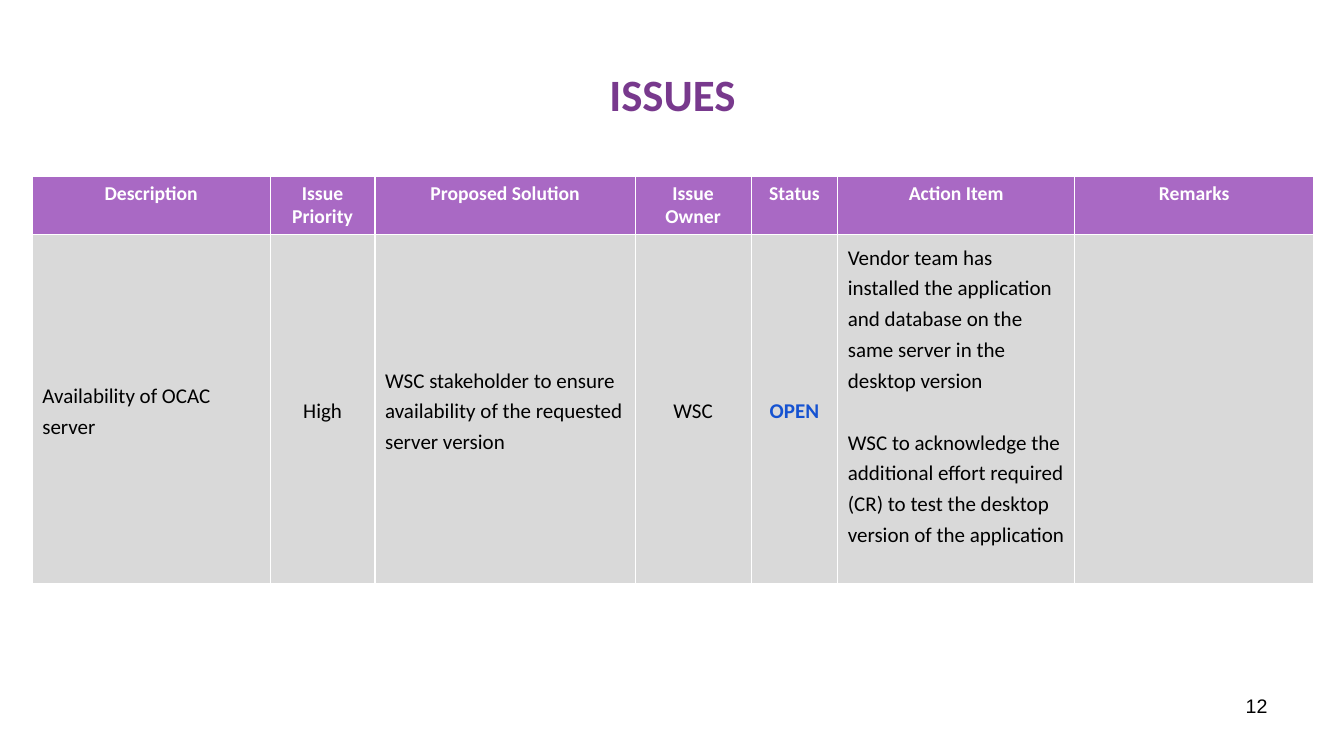
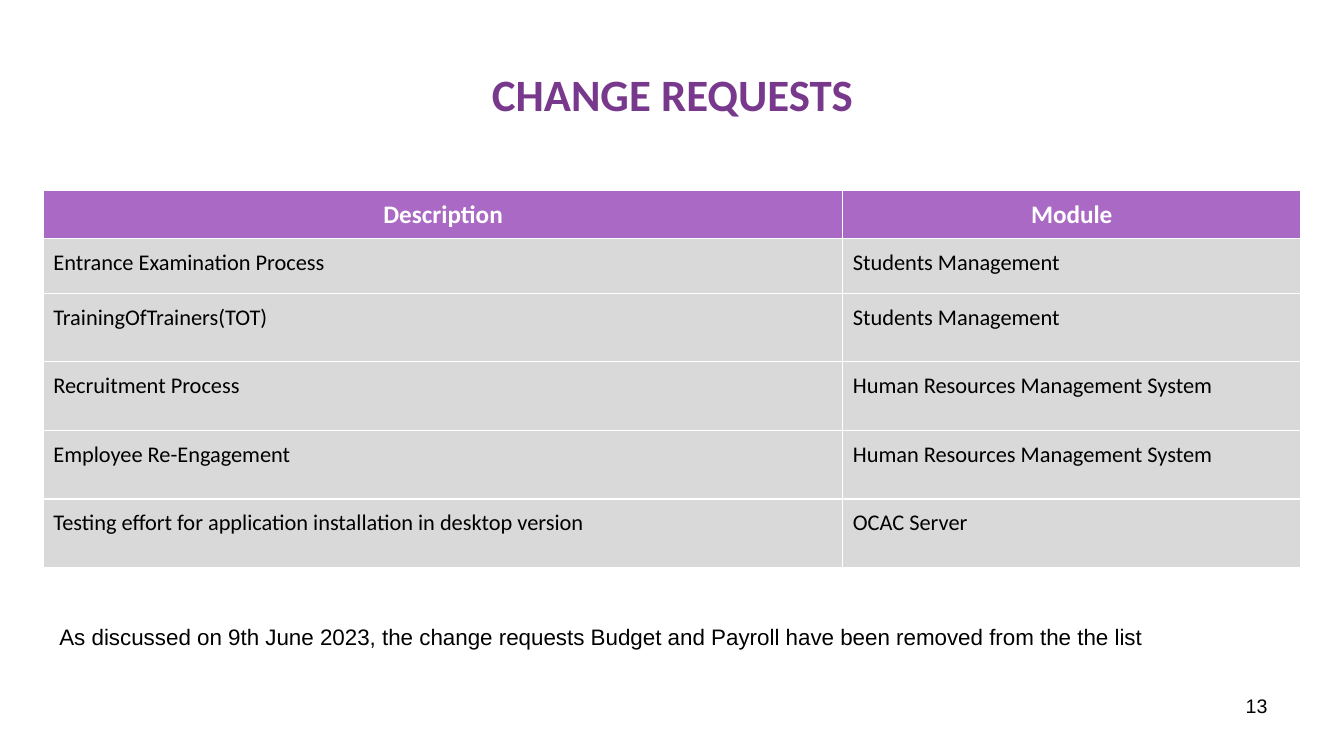
import pptx
import pptx.util
import pptx.dml.color
import pptx.enum.text
import pptx.oxml

Inches, Pt = pptx.util.Inches, pptx.util.Pt
ALIGN, ANCHOR = pptx.enum.text.PP_ALIGN, pptx.enum.text.MSO_ANCHOR
LEFT, MID, RIGHT = ALIGN.LEFT, ALIGN.CENTER, ALIGN.RIGHT

COLORS = {"title": "78398D", "head": "A969C4", "body": "D9D9D9",
          "white": "FFFFFF", "black": "000000", "open": "1552D1"}
BORDER = ('<a:{} xmlns:a="http://schemas.openxmlformats.org/drawingml/2006/main" w="12700">'
          '<a:solidFill><a:srgbClr val="' + COLORS["white"] + '"/></a:solidFill></a:{}>')


def style(par, size, color="black", bold=False, align=LEFT, face="Calibri"):
    par.alignment = align
    par.font.name, par.font.size, par.font.bold = face, Pt(size), bold
    par.font.color.rgb = pptx.dml.color.RGBColor.from_string(COLORS[color])


def note(slide, text, box, size, align=LEFT):
    frame = slide.shapes.add_textbox(*map(Inches, box)).text_frame
    frame.word_wrap = True
    frame.text = text
    style(frame.paragraphs[0], size, align=align, face="Arial")


# Content of each page
pages = [
    {"title": "ISSUES", "left": 0.32, "top": 1.75,
     "cols": [2.36, 1.04, 2.58, 1.15, 0.86, 2.35, 2.37], "heights": [0.58, 3.46],
     "sizes": (14, 15), "anchors": (ANCHOR.TOP, ANCHOR.MIDDLE), "mids": (1, 3, 4),
     "rows": [
         ["Description", "Issue Priority", "Proposed Solution", "Issue Owner",
          "Status", "Action Item", "Remarks"],
         ["Availability of OCAC server", "High",
          "WSC stakeholder to ensure availability of the requested server version",
          "WSC", "OPEN",
          "Vendor team has installed the application and database on the same server "
          "in the desktop version\n"
          "WSC to acknowledge the additional effort required (CR) to test the desktop "
          "version of the application", ""]]},
    {"title": "CHANGE REQUESTS", "left": 0.43, "top": 1.89,
     "cols": [7.93, 4.54], "heights": [0.48, 0.54] + [0.68] * 4,
     "sizes": (18, 16), "anchors": (ANCHOR.MIDDLE, ANCHOR.TOP), "mids": (),
     "rows": [
         ["Description", "Module"],
         ["Entrance Examination Process", "Students Management"],
         ["TrainingOfTrainers(TOT)", "Students Management"],
         ["Recruitment Process", "Human Resources Management System"],
         ["Employee Re-Engagement", "Human Resources Management System"],
         ["Testing effort for application installation in desktop version",
          "OCAC Server"]]},
]

deck = pptx.Presentation()
deck.slide_width, deck.slide_height = Inches(13.33), Inches(7.5)

for number, page in enumerate(pages, 12):
    slide = deck.slides.add_slide(deck.slide_layouts[5])

    # Title and page number
    title = slide.shapes.title
    title.left, title.top = Inches(0.67), Inches(0.3)
    title.width, title.height = Inches(12), Inches(1.25)
    title.text_frame.text = page["title"]
    title.text_frame.vertical_anchor = ANCHOR.MIDDLE
    style(title.text_frame.paragraphs[0], 32, "title", True, MID)
    note(slide, str(number), (9.56, 6.83, 3.11, 0.52), 14, RIGHT)

    # Table grid
    rows, cols, heights = page["rows"], page["cols"], page["heights"]
    table = slide.shapes.add_table(
        len(rows), len(cols), Inches(page["left"]), Inches(page["top"]),
        Inches(sum(cols)), Inches(sum(heights))).table
    for col, width in zip(table.columns, cols):
        col.width = Inches(width)
    for row, height in zip(table.rows, heights):
        row.height = Inches(height)

    # Table cells
    for r, row in enumerate(rows):
        head = r == 0
        for c, text in enumerate(row):
            cell = table.cell(r, c)
            cell.text = text
            cell.vertical_anchor = page["anchors"][0 if head else 1]
            cell.fill.solid()
            cell.fill.fore_color.rgb = pptx.dml.color.RGBColor.from_string(
                COLORS["head" if head else "body"])
            props = cell._tc.get_or_add_tcPr()
            for i, side in enumerate(("lnL", "lnR", "lnT", "lnB")):
                props.insert(i, pptx.oxml.parse_xml(BORDER.format(side, side)))
            for par in cell.text_frame.paragraphs:
                if head:
                    style(par, page["sizes"][0], "white", True, MID)
                    continue
                par.line_spacing = 1.2
                is_open = text == "OPEN"
                style(par, page["sizes"][1], "open" if is_open else "black", is_open,
                      MID if c in page["mids"] else LEFT)
            if "\n" in text:
                cell.text_frame.paragraphs[1].space_before = Pt(22)
                cell.margin_bottom = Inches(0.35)

# Remark below the change requests
note(slide, "As discussed on 9th June 2023, the change requests Budget and Payroll "
     "have been removed from the the list", (0.49, 6.13, 12.18, 0.37), 16)

deck.save("out.pptx")
